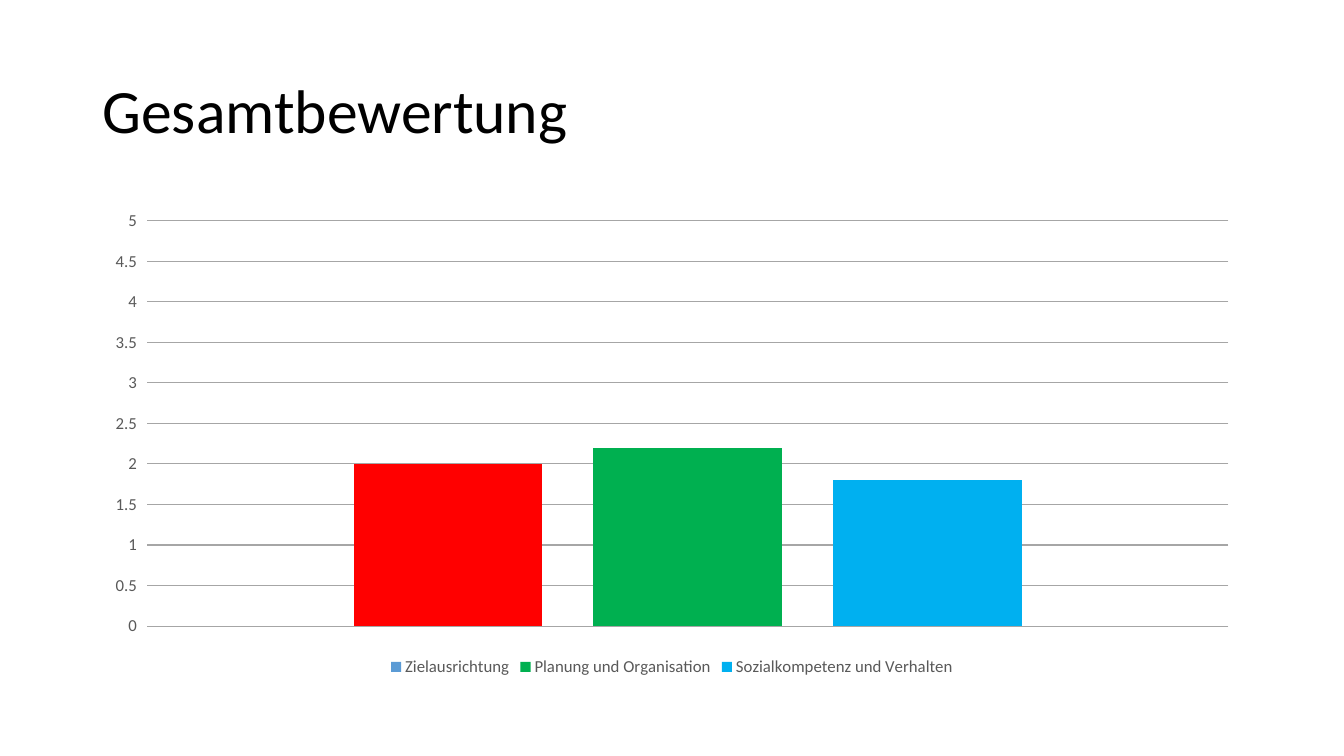
from dataclasses import dataclass

from pptx import Presentation
from pptx.chart.data import CategoryChartData as ChartData
from pptx.dml.color import RGBColor as Rgb
from pptx.enum.chart import XL_CHART_TYPE as Kind, XL_LEGEND_POSITION as Place
from pptx.enum.chart import XL_TICK_MARK as Tick
from pptx.enum.text import MSO_ANCHOR as Anchor, MSO_AUTO_SIZE as Fit, PP_ALIGN as Align
from pptx.util import Cm, Pt

FACE = "Calibri"
COLORS = {
    "title": "000000", "label": "595959", "grid": "A6A6A6",
    "blue": "5B9BD5", "red": "FF0000", "green": "00B050", "sky": "00B0F0",
}


@dataclass
class Score:
    name: str
    value: float
    key: str  # legend color
    bar: str  # column color


SCORES = [
    Score("Zielausrichtung", 2, "blue", "red"),
    Score("Planung und Organisation", 2.2, "green", "green"),
    Score("Sozialkompetenz und Verhalten", 1.8, "sky", "sky"),
]


def tint(fill, color: str) -> None:
    fill.solid()
    fill.fore_color.rgb = Rgb.from_string(COLORS[color])


def style(font, size: float, color: str) -> None:
    font.name = FACE
    font.size = Pt(size)
    font.color.rgb = Rgb.from_string(COLORS[color])


def add_title(slide, text: str) -> None:
    title = slide.shapes.title
    title.left, title.top = Cm(2.33), Cm(1.01)
    title.width, title.height = Cm(29.21), Cm(3.68)
    frame = title.text_frame
    frame.word_wrap = True
    frame.auto_size = Fit.NONE
    frame.vertical_anchor = Anchor.MIDDLE
    line = frame.paragraphs[0]
    line.alignment = Align.LEFT
    line.line_spacing = 0.9
    run = line.add_run()
    run.text = text
    style(run.font, 44, "title")


def add_scores(slide, scores: list[Score]) -> None:
    data = ChartData()
    data.categories = ["1"]
    for score in scores:
        data.add_series(score.name, [score.value])
    chart = slide.shapes.add_chart(
        Kind.COLUMN_CLUSTERED, Cm(2.33), Cm(5.07), Cm(29.21), Cm(12.09), data
    ).chart
    chart.has_title = False
    style(chart.font, 10, "title")

    # Columns
    plot = chart.plots[0]
    plot.vary_by_categories = False
    plot.gap_width, plot.overlap = 219, -27
    for row, score in zip(plot.series, scores):
        row.invert_if_negative = False
        tint(row.format.fill, score.key)
        if score.bar != score.key:
            tint(row.points[0].format.fill, score.bar)

    # Axes
    chart.category_axis.visible = False
    axis = chart.value_axis
    axis.minimum_scale, axis.maximum_scale, axis.major_unit = 0, 5, 0.5
    axis.major_tick_mark = Tick.OUTSIDE
    axis.minor_tick_mark = Tick.NONE
    axis.format.line.fill.background()
    style(axis.tick_labels.font, 12, "label")
    axis.has_major_gridlines = True
    grid = axis.major_gridlines.format.line
    grid.width = Pt(0.75)
    tint(grid.fill, "grid")

    # Legend
    chart.has_legend = True
    chart.legend.position = Place.BOTTOM
    chart.legend.include_in_layout = False
    style(chart.legend.font, 12, "label")


def main() -> None:
    deck = Presentation()
    deck.slide_width, deck.slide_height = Cm(33.87), Cm(19.05)
    slide = deck.slides.add_slide(deck.slide_layouts[5])
    add_title(slide, "Gesamtbewertung")
    add_scores(slide, SCORES)
    deck.save("out.pptx")


if __name__ == "__main__":
    main()
